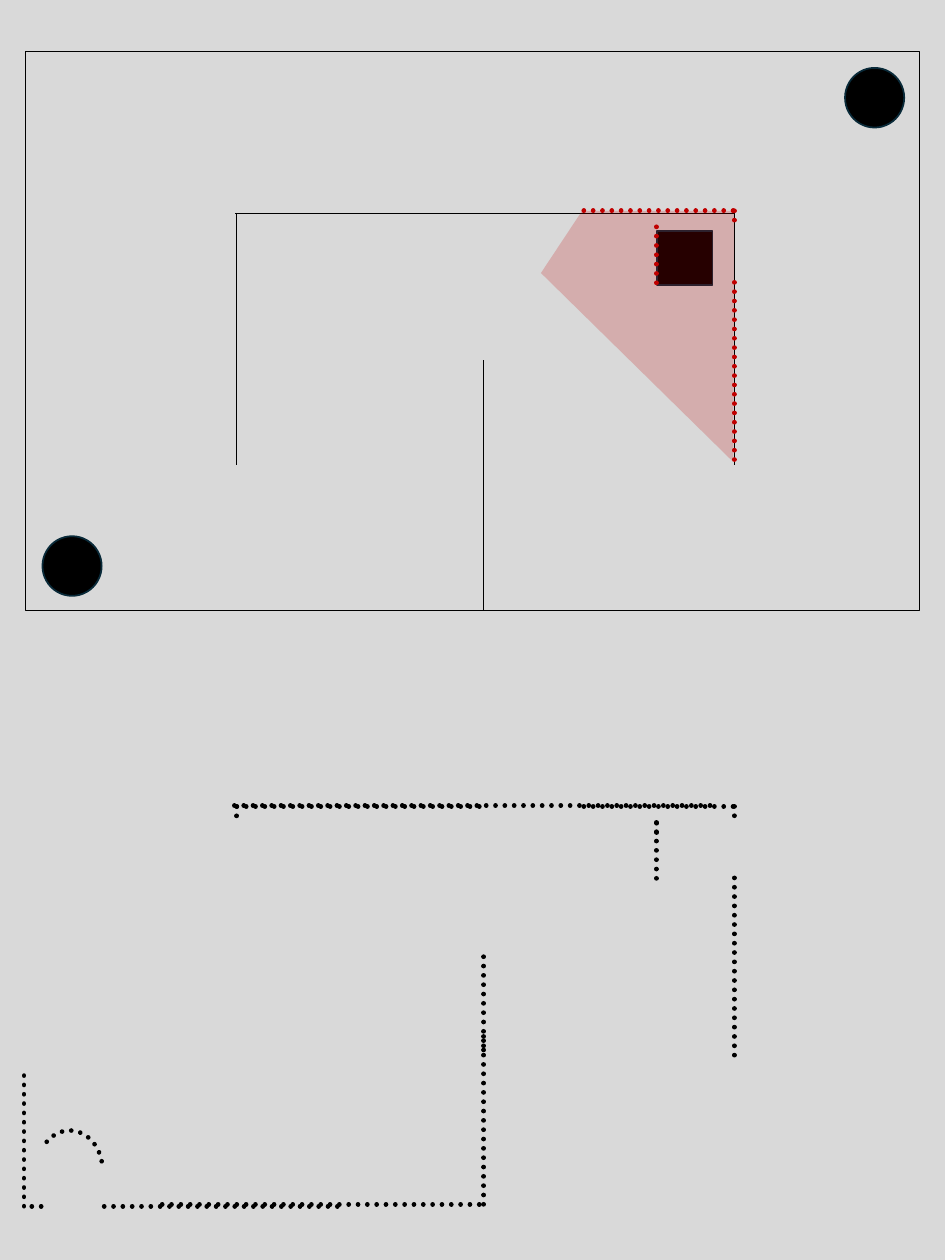
"""Build a floor plan with a scanner's field of view and the scanned points below it."""
from lxml import etree
from pptx import Presentation
from pptx.dml.color import RGBColor
from pptx.enum.dml import MSO_LINE
from pptx.enum.shapes import MSO_CONNECTOR, MSO_SHAPE
from pptx.oxml.ns import qn
from pptx.util import Pt

STRAIGHT = MSO_CONNECTOR.STRAIGHT
RECT, OVAL, ARC = MSO_SHAPE.RECTANGLE, MSO_SHAPE.OVAL, MSO_SHAPE.ARC
SYS_DOT = MSO_LINE.ROUND_DOT
GREY = RGBColor(0xD9, 0xD9, 0xD9)
BLACK = RGBColor(0, 0, 0)
NAVY = RGBColor(0x09, 0x2A, 0x39)
RED = RGBColor(0xC0, 0, 0)

WALL_X, DIVIDER_X, RIGHT_X = 203, 414.7, 629.3
WALL_TOP, WALL_END = 182.9, 398.2
SCAN_TOP, SCAN_SHIFT = 180.7, 510.5


def set_line(sp, color, width, dotted=False):
    sp.line.color.rgb = color
    sp.line.width = Pt(width)
    if dotted:
        sp.line.dash_style = SYS_DOT
        sp.line._get_or_add_ln().set("cap", "rnd")


def add_line(group, x1, y1, x2, y2, color=BLACK, width=1, dotted=False):
    sp = group.shapes.add_connector(STRAIGHT, Pt(x1), Pt(y1), Pt(x2), Pt(y2))
    set_line(sp, color, width, dotted)
    etree.SubElement(sp._element.spPr, qn("a:effectLst"))


prs = Presentation()
prs.slide_width, prs.slide_height = Pt(810), Pt(1080)
s = prs.slides.add_slide(prs.slide_layouts[6])
s.background.fill.solid()
s.background.fill.fore_color.rgb = GREY

plan = s.shapes.add_group_shape()
for kind, x, y, w, h, fill, edge, width in [
    (RECT, 21.6, 43.8, 766.4, 479.6, GREY, BLACK, 1),
    (OVAL, 36.4, 459.6, 50.7, 51.1, BLACK, NAVY, 1.5),
    (OVAL, 724.3, 58.2, 50.7, 51.1, BLACK, NAVY, 1.5),
    (RECT, 563, 198, 47.8, 46.4, BLACK, NAVY, 1.5),
]:
    sp = plan.shapes.add_shape(kind, Pt(x), Pt(y), Pt(w), Pt(h))
    sp.shadow.inherit = False
    sp.fill.solid()
    sp.fill.fore_color.rgb = fill
    set_line(sp, edge, width)

walls = [
    (WALL_X, WALL_TOP, WALL_X, WALL_END),
    (DIVIDER_X, 308.9, DIVIDER_X, 523.4),
    (RIGHT_X, WALL_TOP, RIGHT_X, WALL_END),
    (201.6, WALL_TOP, RIGHT_X, WALL_TOP),
]
for wall in walls:
    add_line(plan, *wall)

fb = plan.shapes.build_freeform(Pt(499), Pt(SCAN_TOP))
fb.add_line_segments([(Pt(x), Pt(y)) for x, y in [(RIGHT_X, SCAN_TOP), (628.6, 396), (463.7, 234)]])
view = fb.convert_to_shape()
view.shadow.inherit = False
view.fill.solid()
view.fill.fore_color.rgb = RED
view.line.fill.background()
color = view._element.spPr.find(qn("a:solidFill")).find(qn("a:srgbClr"))
etree.SubElement(color, qn("a:alpha")).set("val", "20000")

view_hits = [
    (500.4, SCAN_TOP, 631.4, SCAN_TOP),
    (562.5, 194.4, 562.5, 243.4),
    (RIGHT_X, SCAN_TOP, RIGHT_X, 195.3),
    (RIGHT_X, 242, RIGHT_X, 396),
]
for x1, y1, x2, y2 in view_hits:
    add_line(plan, x1, y1, x2, y2, RED, 4, True)

scan = s.shapes.add_group_shape()
sp = scan.shapes.add_shape(ARC, Pt(31.7), Pt(969), Pt(56.2), Pt(67.7))
sp.adjustments[0], sp.adjustments[1] = 138.414, 0
sp.shadow.inherit = False
sp.fill.background()
set_line(sp, BLACK, 4, True)

scan_hits = [
    (20.6, 1033.9, 20.6, 919.4),
    (35.3, 1033.9, 20.6, 1033.9),
    (89.3, 1033.9, 293, 1033.9),
    (139, 1032.3, DIVIDER_X, 1032.3),
    (DIVIDER_X, 1032.3, DIVIDER_X, 882.7),
    (WALL_X, 691.3, 414, 691.3),
    (DIVIDER_X, 900, DIVIDER_X, 815),
    (WALL_X, 691.3, WALL_X, 701.3),
    (200.9, 690.5, 613.4, 690.5),
    (563, 705.6, 563, 717.8),
]
shifted_hits = [(x1, y1 + SCAN_SHIFT, x2, y2 + SCAN_SHIFT) for x1, y1, x2, y2 in view_hits]
for hit in scan_hits + shifted_hits:
    add_line(scan, *hit, BLACK, 4, True)

prs.save("out.pptx")
